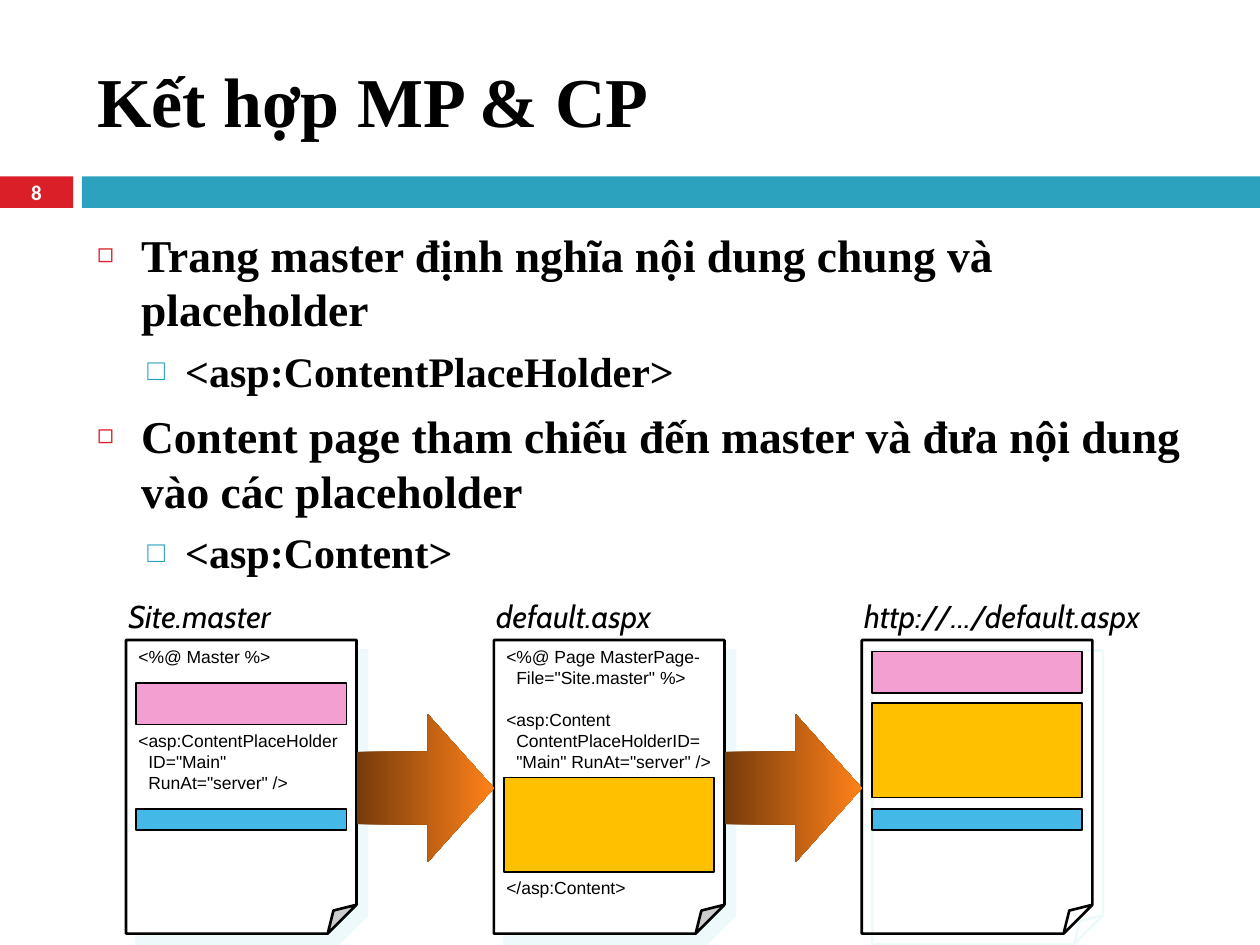
"""Build a slide showing how a master page and a content page combine."""
import pptx
import pptx.dml.color
import pptx.enum.shapes
import pptx.enum.text
import pptx.oxml
import pptx.oxml.ns
import pptx.util

Inches, Pt = pptx.util.Inches, pptx.util.Pt
SHAPE = pptx.enum.shapes.MSO_SHAPE
ALIGN = pptx.enum.text.PP_ALIGN
ANCHOR = pptx.enum.text.MSO_ANCHOR

TITLE = "Kết hợp MP & CP"
NUMBER = "8"
POINTS = [
    (0, "Trang master định nghĩa nội dung chung và placeholder"),
    (1, "<asp:ContentPlaceHolder>"),
    (0, "Content page tham chiếu đến master và đưa nội dung vào các placeholder"),
    (1, "<asp:Content>"),
]
LEVELS = [
    {"size": 26, "before": 7, "left": 0.35, "hang": 0.35, "mark": "◻", "color": "DA1F28", "scale": 60},
    {"size": 24, "before": 5.5, "left": 0.7, "hang": 0.3, "mark": "□", "color": "2DA2BF", "scale": 70},
]
PINK, BLUE, GOLD = "F39FD1", "44B9E8", "FFC000"
PAGES = [
    {
        "label": "Site.master", "label_width": 1.57, "fill": "FFFFFF",
        "code": [(0, 0, "<%@ Master %>"), (3, 0, "<asp:ContentPlaceHolder"),
                 (0, 1, 'ID="Main"'), (0, 1, 'RunAt="server" />')],
        "blocks": [(5.42, 0.33, PINK), (6.42, 0.17, BLUE)],
    },
    {
        "label": "default.aspx", "label_width": 1.66, "fill": "FFFFFF",
        "code": [(0, 0, "<%@ Page MasterPage-"), (0, 1, 'File="Site.master" %>'),
                 (1, 0, "<asp:Content"), (0, 1, "ContentPlaceHolderID="),
                 (0, 1, '"Main" RunAt="server" />'), (5, 0, "</asp:Content>")],
        "blocks": [(6.17, 0.75, GOLD)],
    },
    {
        "label": "http://.../default.aspx", "label_width": 2.77, "fill": None, "code": [],
        "blocks": [(5.17, 0.33, PINK), (5.58, 0.75, GOLD), (6.42, 0.17, BLUE)],
    },
]
PAGE_LEFT, PAGE_TOP, PAGE_WIDTH, PAGE_HEIGHT, PAGE_STEP = 1, 5.08, 1.83, 2.33, 2.92
CODE_PITCH = 12


def rgb(value):
    return pptx.dml.color.RGBColor.from_string(value)


def xml(parent, text):
    start = text.replace(" ", f" {pptx.oxml.ns.nsdecls('a')} ", 1)
    parent.append(pptx.oxml.parse_xml(start))


def place(shape, left, top, width, height):
    shape.left, shape.top = Inches(left), Inches(top)
    shape.width, shape.height = Inches(width), Inches(height)


def style(para, name, size, color, bold=False, italic=False):
    para.font.name, para.font.size = name, Pt(size)
    para.font.color.rgb = rgb(color)
    para.font.bold, para.font.italic = bold, italic


def add_shape(slide, kind, area, fill, line=None):
    shape = slide.shapes.add_shape(kind, *map(Inches, area))
    shape.shadow.inherit = False
    if fill:
        shape.fill.solid()
        shape.fill.fore_color.rgb = rgb(fill)
    else:
        shape.fill.background()
    if line:
        shape.line.color.rgb, shape.line.width = rgb("000000"), Pt(line)
    else:
        shape.line.fill.background()
    return shape


def add_text(slide, area, text, inset):
    box = slide.shapes.add_textbox(*map(Inches, area))
    frame = box.text_frame
    frame.word_wrap = False
    frame.margin_left = frame.margin_right = Inches(inset)
    frame.margin_top = frame.margin_bottom = Inches(inset)
    frame.paragraphs[0].text = text
    return frame


def fill_body(body):
    place(body, 0.67, 1.75, 8.92, 4.92)
    frame = body.text_frame
    frame.auto_size = pptx.enum.text.MSO_AUTO_SIZE.NONE
    for index, (depth, text) in enumerate(POINTS):
        para = frame.add_paragraph() if index else frame.paragraphs[0]
        level = LEVELS[depth]
        para.text, para.level = text, depth
        para.space_before = Pt(level["before"])
        style(para, "Times New Roman", level["size"], "000000", bold=True)
        props = para._p.get_or_add_pPr()
        props.set("marL", str(Inches(level["left"])))
        props.set("indent", str(-Inches(level["hang"])))
        default = props.find(pptx.oxml.ns.qn("a:defRPr"))
        xml(props, f'<a:buClr ><a:srgbClr val="{level["color"]}"/></a:buClr>')
        xml(props, f'<a:buSzPct val="{level["scale"] * 1000}"/>')
        xml(props, f'<a:buChar char="{level["mark"]}"/>')
        if default is not None:
            props.append(default)


def add_page(slide, left, page):
    area = (left, PAGE_TOP, PAGE_WIDTH, PAGE_HEIGHT)
    sheet = add_shape(slide, SHAPE.FOLDED_CORNER, area, page["fill"], 1.5)
    props = sheet._element.spPr
    guides = next(props.iter(pptx.oxml.ns.qn("a:avLst")))
    xml(guides, '<a:gd name="adj" fmla="val 12500"/>')
    effects = props.find(pptx.oxml.ns.qn("a:effectLst"))
    xml(effects, f'<a:outerShdw dist="{Pt(8.5)}" dir="2700000" algn="ctr" rotWithShape="0">'
                 '<a:srgbClr val="DEF5FA"><a:alpha val="50000"/></a:srgbClr></a:outerShdw>')
    frame = sheet.text_frame
    frame.word_wrap, frame.vertical_anchor = False, ANCHOR.TOP
    frame.margin_left, frame.margin_top = Inches(0.1), Inches(0.05)
    for index, (gap, step, text) in enumerate(page["code"]):
        para = frame.add_paragraph() if index else frame.paragraphs[0]
        para.text, para.alignment = text, ALIGN.LEFT
        para.line_spacing, para.space_before = Pt(CODE_PITCH), Pt(gap * CODE_PITCH)
        para._p.get_or_add_pPr().set("marL", str(Inches(0.08 * step)))
        style(para, "Arial", 10, "000000")
    for top, height, color in page["blocks"]:
        add_shape(slide, SHAPE.RECTANGLE, (left + 0.08, top, 1.67, height), color, 1)
    label = add_text(slide, (left - 0.08, 4.64, page["label_width"], 0.53), page["label"], 0.1)
    style(label.paragraphs[0], "Cabin", 18, "000000", italic=True)


def add_arrow(slide, left):
    area = (left, 5.67, PAGE_STEP - PAGE_WIDTH, 1.17)
    arrow = add_shape(slide, SHAPE.RIGHT_ARROW, area, None)
    arrow.adjustments[0], arrow.adjustments[1] = 0.49, 0.48
    arrow.fill.gradient()
    arrow.fill.gradient_angle = 0
    for stop, color, position in zip(arrow.fill.gradient_stops, ("763B0C", "FF8119"), (0, 1)):
        stop.color.rgb, stop.position = rgb(color), position


def main():
    deck = pptx.Presentation()
    deck.slide_width, deck.slide_height = Inches(10), Inches(7.5)
    slide = deck.slides.add_slide(deck.slide_layouts[1])
    add_shape(slide, SHAPE.RECTANGLE, (0, 1.4, 0.58, 0.25), "DA1F28")
    add_shape(slide, SHAPE.RECTANGLE, (0.65, 1.4, 9.35, 0.25), "2DA2BF")
    number = add_text(slide, (0, 1.39, 0.58, 0.27), NUMBER, 0)
    number.vertical_anchor = ANCHOR.MIDDLE
    number.paragraphs[0].alignment = ALIGN.CENTER
    style(number.paragraphs[0], "Calibri", 12, "FFFFFF", bold=True)

    title = slide.shapes.title
    place(title, 0.67, 0.25, 8.92, 1.08)
    title.text_frame.text = TITLE
    title.text_frame.vertical_anchor = ANCHOR.MIDDLE
    title.text_frame.paragraphs[0].alignment = ALIGN.LEFT
    style(title.text_frame.paragraphs[0], "Times New Roman", 40, "000000", bold=True)
    fill_body(slide.placeholders[1])

    lefts = [PAGE_LEFT + PAGE_STEP * index for index in range(len(PAGES))]
    for left, page in zip(lefts, PAGES):
        add_page(slide, left, page)
    for left in lefts[:-1]:
        add_arrow(slide, left + PAGE_WIDTH)
    deck.save("out.pptx")


if __name__ == "__main__":
    main()
